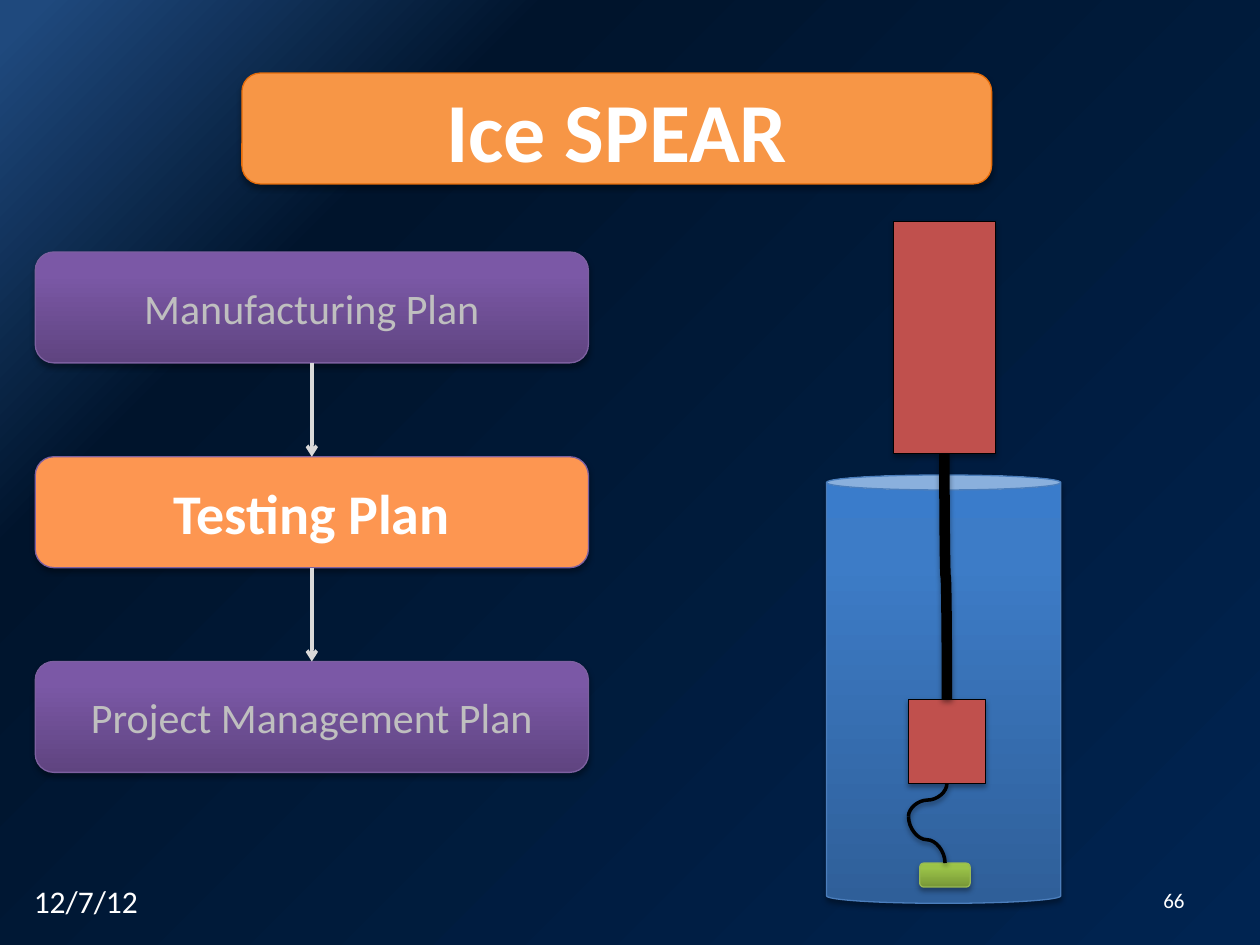
from dataclasses import dataclass

from lxml import etree
from pptx import Presentation
from pptx.dml.color import RGBColor
from pptx.enum.shapes import MSO_CONNECTOR, MSO_SHAPE
from pptx.enum.text import MSO_ANCHOR, PP_ALIGN
from pptx.oxml.ns import qn
from pptx.util import Inches, Pt

ROUNDED, RECTANGLE, CAN = MSO_SHAPE.ROUNDED_RECTANGLE, MSO_SHAPE.RECTANGLE, MSO_SHAPE.CAN
STRAIGHT, CURVE = MSO_CONNECTOR.STRAIGHT, MSO_CONNECTOR.CURVE
MIDDLE, TOP = MSO_ANCHOR.MIDDLE, MSO_ANCHOR.TOP
LEFT, CENTER, RIGHT = PP_ALIGN.LEFT, PP_ALIGN.CENTER, PP_ALIGN.RIGHT
COLUMNS, ROWS = 100, 75
CELL = Inches(0.1)


@dataclass(frozen=True)
class Theme:
    font: str = "Calibri"
    white: str = "FFFFFF"
    black: str = "000000"
    muted: str = "BFBFBF"
    arrow: str = "D9D9D9"
    title_fill: str = "F79646"
    title_line: str = "E46C0A"
    active_fill: str = "FD9651"
    step_line: str = "7D60A0"
    water_line: str = "4B7EBC"
    sensor_line: str = "98B955"
    hull: str = "C0504D"
    backdrop: tuple = ((2, "1F497D"), (25, "00142C"), (100, "002451"))
    step_fill: tuple = ((0, "5F4480"), (80, "7B58A6"), (100, "7C57A8"))
    water_fill: tuple = ((0, "2F5F99"), (80, "3D7CC7"), (100, "3A7CCB"))
    sensor_fill: tuple = ((0, "779737"), (80, "9BC348"), (100, "9DC746"))
    title_size: int = 48
    active_size: int = 32
    step_size: int = 24
    date_size: int = 18
    number_size: int = 12


THEME = Theme()


@dataclass(frozen=True)
class Box:
    column: float
    row: float
    columns: float
    rows: float

    def area(self, column, row, columns, rows):
        return Box(self.column + column, self.row + row, columns, rows)

    def lengths(self):
        return [round(n * CELL) for n in (self.column, self.row, self.columns, self.rows)]

    def middle(self):
        return self.column + self.columns / 2

    def bottom(self):
        return self.row + self.rows


def paint(fill, holder, colour, angle=270):
    if isinstance(colour, str):
        fill.solid()
        fill.fore_color.rgb = RGBColor.from_string(colour)
        return
    fill.gradient()
    fill.gradient_angle = (360 - angle) % 360
    stops = holder.xpath(".//a:gradFill/a:gsLst")[0]
    for stop in list(stops):
        stops.remove(stop)
    for position, value in colour:
        stop = etree.SubElement(stops, qn("a:gs"), pos=str(position * 1000))
        etree.SubElement(stop, qn("a:srgbClr"), val=value)


def outline(item, colour, width):
    item.line.color.rgb = RGBColor.from_string(colour)
    item.line.width = Pt(width)


def cast_shadow(item, opacity, distance):
    effects = etree.SubElement(item.element.spPr, qn("a:effectLst"))
    shadow = etree.SubElement(effects, qn("a:outerShdw"), blurRad=str(Pt(3.1)),
                              dist=str(Pt(distance)), dir="5400000", rotWithShape="0")
    colour = etree.SubElement(shadow, qn("a:srgbClr"), val=THEME.black)
    etree.SubElement(colour, qn("a:alpha"), val=str(opacity * 1000))


def add_block(shapes, kind, box, fill, line):
    block = shapes.add_shape(kind, *box.lengths())
    paint(block.fill, block.element, fill)
    outline(block, line, 0.75)
    cast_shadow(block, 35, 1.8)
    return block


def write(item, text, size, colour, bold=False, align=CENTER, anchor=MIDDLE):
    frame = item.text_frame
    frame.word_wrap = True
    frame.vertical_anchor = anchor
    para = frame.paragraphs[0]
    para.alignment = align
    span = para.add_run()
    span.text = text
    span.font.name = THEME.font
    span.font.size = Pt(size)
    span.font.bold = bold
    span.font.color.rgb = RGBColor.from_string(colour)


def add_arrow(page, upper, lower):
    arrow = page.shapes.add_connector(STRAIGHT, 0, 0, 0, 0)
    arrow.begin_connect(upper, 2)
    arrow.end_connect(lower, 0)
    outline(arrow, THEME.arrow, 2)
    properties = arrow.element.spPr
    etree.SubElement(properties.find(qn("a:ln")), qn("a:tailEnd"), type="arrow")
    etree.SubElement(properties, qn("a:effectLst"))


def add_cable(shapes, start, end, width):
    (x1, y1), (x2, y2) = start, end
    length, sway = y2 - y1, abs(x2 - x1)
    frame = Box((x1 + x2 - length) / 2, (y1 + y2 - sway) / 2, length, sway)
    left, top, across, down = frame.lengths()
    cable = shapes.add_connector(CURVE, left, top, left + across, top + down)
    transform = cable.element.spPr.find(qn("a:xfrm"))
    if x2 > x1:
        transform.set("rot", "16200000")
        transform.set("flipH", "1")
    else:
        transform.set("rot", "5400000")
    outline(cable, THEME.black, width)
    cast_shadow(cable, 38, 1.6)


def add_title(page, box):
    title = add_block(page.shapes, ROUNDED, box, THEME.title_fill, THEME.title_line)
    write(title, "Ice SPEAR", THEME.title_size, THEME.white, bold=True)


def add_plan(page, box, steps, active):
    height = 8.8
    pitch = (box.rows - height) / (len(steps) - 1)
    blocks = []
    for index, text in enumerate(steps):
        current = text == active
        place = box.area(0, index * pitch, box.columns, height)
        fill = THEME.active_fill if current else THEME.step_fill
        block = add_block(page.shapes, ROUNDED, place, fill, THEME.step_line)
        size = THEME.active_size if current else THEME.step_size
        write(block, text, size, THEME.white if current else THEME.muted, bold=current)
        blocks.append(block)
    for upper, lower in zip(blocks, blocks[1:]):
        add_arrow(page, upper, lower)


def add_apparatus(page, box):
    shapes = page.shapes.add_group_shape().shapes
    station = box.area(5.3, 0, 8.1, 18.4)
    probe = box.area(6.5, 37.9, 6.1, 6.7)
    sensor = box.area(7.4, 50.9, 4, 1.9)
    bend = (probe.column, probe.bottom() + 2.6)
    water = add_block(shapes, CAN, box.area(0, 20.1, box.columns, 34),
                      THEME.water_fill, THEME.water_line)
    water.adjustments[0] = 0.064
    for hull in (station, probe):
        add_block(shapes, RECTANGLE, hull, THEME.hull, THEME.black)
    add_cable(shapes, (station.middle(), station.bottom()), (probe.middle(), probe.row), 6)
    add_cable(shapes, (probe.middle(), probe.bottom()), bend, 2)
    add_block(shapes, ROUNDED, sensor, THEME.sensor_fill, THEME.sensor_line)
    add_cable(shapes, bend, (sensor.middle(), sensor.row), 2)


def add_footer(page, box):
    date = page.shapes.add_textbox(*box.area(0, 0, 23.3, box.rows).lengths())
    write(date, "12/7/12", THEME.date_size, THEME.white, align=LEFT, anchor=TOP)
    number = page.shapes.add_textbox(*box.area(box.columns - 4.2, 0, 4.2, 3.8).lengths())
    write(number, "66", THEME.number_size, THEME.white, align=RIGHT)


def main():
    deck = Presentation()
    deck.slide_width, deck.slide_height = COLUMNS * CELL, ROWS * CELL
    page = deck.slides.add_slide(deck.slide_layouts[6])
    paint(page.background.fill, page.element, THEME.backdrop, angle=45)
    steps = ("Manufacturing Plan", "Testing Plan", "Project Management Plan")
    add_plan(page, Box(2.8, 20, 43.9, 41.3), steps, active="Testing Plan")
    add_title(page, Box(19.2, 5.8, 59.5, 8.8))
    add_apparatus(page, Box(65.6, 17.6, 18.6, 54.1))
    add_footer(page, Box(1.7, 69.5, 93.3, 4))
    deck.save("out.pptx")


if __name__ == "__main__":
    main()
